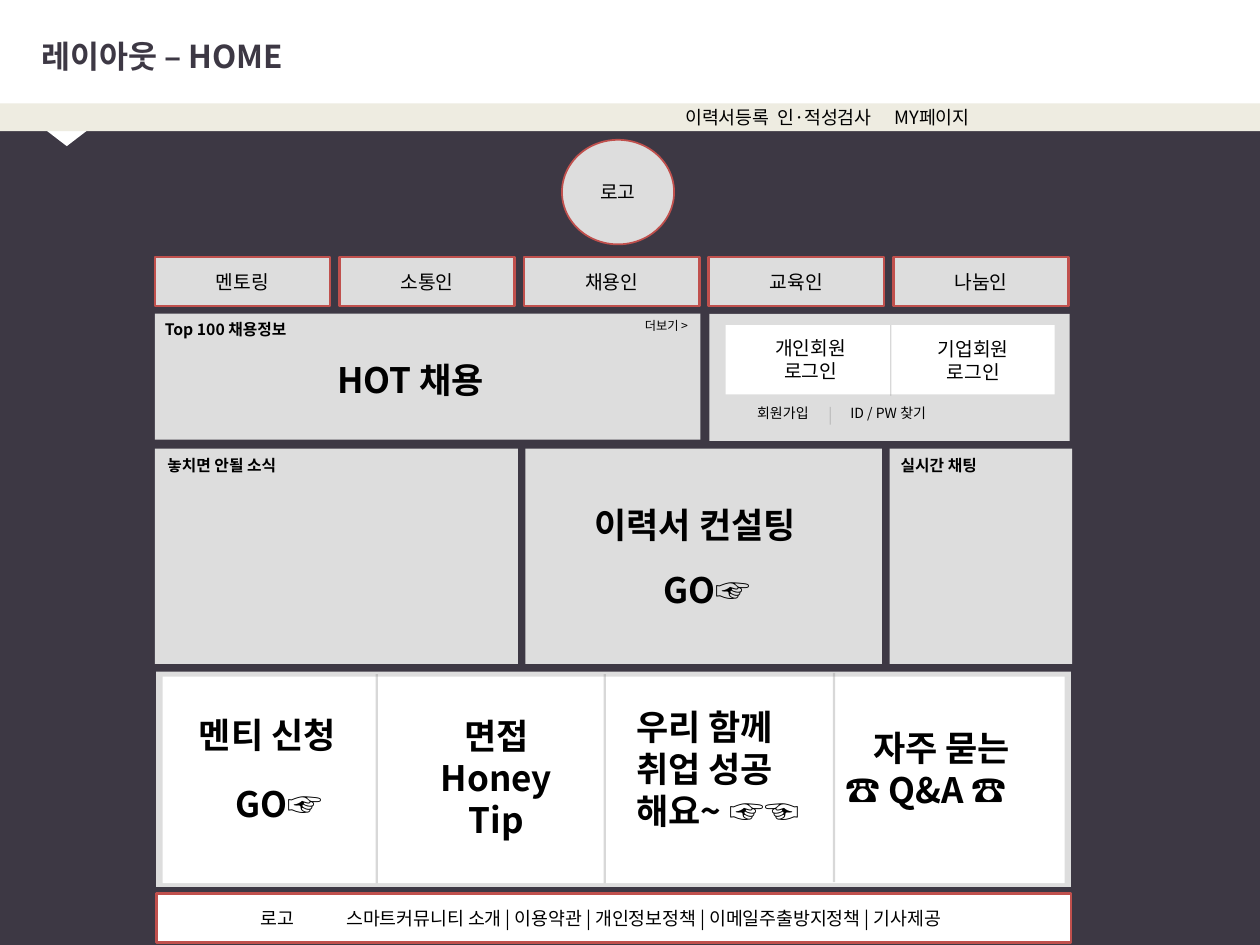
import pptx
import pptx.dml.color
import pptx.enum.shapes
import pptx.enum.text
import pptx.oxml
import pptx.oxml.ns
import pptx.util
from pptx.util import Inches

SHAPE = pptx.enum.shapes.MSO_SHAPE
ALIGN = pptx.enum.text.PP_ALIGN
ANCHOR = pptx.enum.text.MSO_ANCHOR
qn = pptx.oxml.ns.qn

THEME = {
    "font": "Noto Sans CJK KR",
    "dark": "3D3844", "white": "FFFFFF", "beige": "EEECE1",
    "panel": "DDDDDD", "accent": "C0504D", "divider": "808080", "ink": "000000",
    "title": 18, "headline": 20, "menu": 11, "bar": 10.5,
    "heading": 9, "link": 8, "more": 7,
}

MENU = ["멘토링", "소통인", "채용인", "교육인", "나눔인"]
MENU_LEFT, MENU_RIGHT, MENU_TOP, MENU_W, MENU_H = 1.23, 8.48, 2.04, 1.39, 0.39

UTILITY_LINKS = ["이력서등록", "인·적성검사", "MY페이지"]
FOOTER_LINKS = ["스마트커뮤니티 소개", "이용약관", "개인정보정책",
                "이메일주출방지정책", "기사제공"]

# left, top, width, height, fill
PANELS = [
    (1.23, 2.49, 4.33, 1, "panel"),
    (5.63, 2.49, 2.86, 1.01, "panel"),
    (5.76, 2.58, 2.61, 0.55, "white"),
    (1.23, 3.56, 2.88, 1.71, "panel"),
    (4.17, 3.56, 2.83, 1.71, "panel"),
    (7.06, 3.56, 1.45, 1.71, "panel"),
    (1.24, 5.33, 7.26, 1.71, "panel"),
    (1.29, 5.37, 7.16, 1.64, "white"),
]

# x, top, bottom, width in points
DIVIDERS = [
    (7.07, 2.58, 3.14, 0.75),
    (6.59, 3.23, 3.37, 0.75),
    (2.99, 5.35, 7.01, 1.25),
    (4.8, 5.35, 7.01, 1.25),
    (6.62, 5.34, 7, 1.25),
]

# text, left, top, width, height, size, bold, centred
LABELS = [
    ("개인회원 로그인", 5.97, 2.62, 0.93, 0.46, "menu", False, True),
    ("기업회원 로그인", 7.26, 2.63, 0.93, 0.46, "menu", False, True),
    ("회원가입", 5.91, 3.16, 0.65, 0.23, "link", False, False),
    ("ID / PW 찾기", 6.65, 3.16, 1.04, 0.23, "link", False, False),
    ("Top 100 채용정보", 1.21, 2.49, 1.33, 0.25, "heading", True, False),
    ("더보기 >", 5.02, 2.48, 0.64, 0.22, "more", False, False),
    ("실시간 채팅", 7.05, 3.57, 0.98, 0.25, "heading", True, False),
    ("놓치면 안될 소식", 1.23, 3.57, 1.95, 0.25, "heading", True, False),
    ("HOT 채용", 2.58, 2.8, 2.04, 0.44, "headline", True, False),
    ("이력서 컨설팅", 4.62, 3.95, 2.04, 0.44, "headline", True, False),
    ("GO☞", 5.17, 4.46, 0.94, 0.44, "headline", True, False),
    ("멘티 신청", 1.48, 5.61, 1.48, 0.77, "headline", True, False),
    ("GO☞", 1.77, 6.16, 0.94, 0.44, "headline", True, False),
    ("면접 Honey Tip", 3.2, 5.62, 1.48, 1.11, "headline", True, True),
    ("우리 함께 취업 성공 해요~ ☞☜", 4.95, 5.55, 1.72, 1.45, "headline", True, False),
]
FAQ_LINES = [("자주 묻는", 0.24), ("☎ Q&A ☎", 0.02)]  # text, indent


def color(key):
    return pptx.dml.color.RGBColor.from_string(THEME[key])


def style(paragraph, size, ink="ink", bold=False, align=ALIGN.LEFT):
    paragraph.alignment = align
    font = paragraph.font
    font.size = pptx.util.Pt(THEME[size])
    font.bold = bold
    font.color.rgb = color(ink)
    font.name = THEME["font"]
    defaults = paragraph._p.get_or_add_pPr().find(qn("a:defRPr"))
    east_asian = pptx.oxml.parse_xml(
        f'<a:ea {pptx.oxml.ns.nsdecls("a")} typeface="{THEME["font"]}"/>')
    defaults.find(qn("a:latin")).addnext(east_asian)


def add_block(slide, kind, left, top, width, height, fill, border=None):
    """Add a flat shape; border is its line width in points."""
    block = slide.shapes.add_shape(
        kind, Inches(left), Inches(top), Inches(width), Inches(height))
    block.shadow.inherit = False
    block.fill.solid()
    block.fill.fore_color.rgb = color(fill)
    if border:
        block.line.color.rgb = color("accent")
        block.line.width = pptx.util.Pt(border)
    else:
        block.line.fill.background()
    return block


def caption(block, text, size):
    block.text_frame.vertical_anchor = ANCHOR.MIDDLE
    paragraph = block.text_frame.paragraphs[0]
    paragraph.text = text
    style(paragraph, size, align=ALIGN.CENTER)


def tabbed_caption(block, items, starts):
    """Set items on one line, each starting at its slide position in inches."""
    frame = block.text_frame
    frame.vertical_anchor = ANCHOR.MIDDLE
    frame.margin_left = Inches(starts[0]) - block.left
    frame.margin_right = 0
    paragraph = frame.paragraphs[0]
    paragraph.text = "\t".join(items)
    tabs = "".join(f'<a:tab pos="{Inches(start - starts[0])}" algn="l"/>'
                   for start in starts[1:])
    paragraph._p.get_or_add_pPr().append(pptx.oxml.parse_xml(
        f'<a:tabLst {pptx.oxml.ns.nsdecls("a")}>{tabs}</a:tabLst>'))
    style(paragraph, "bar")


def add_label(slide, left, top, width, height):
    frame = slide.shapes.add_textbox(
        Inches(left), Inches(top), Inches(width), Inches(height)).text_frame
    frame.word_wrap = True
    return frame


def add_divider(slide, x, top, bottom, width):
    divider = slide.shapes.add_connector(
        pptx.enum.shapes.MSO_CONNECTOR.STRAIGHT,
        Inches(x), Inches(top), Inches(x), Inches(bottom))
    divider.line.color.rgb = color("divider")
    divider.line.width = pptx.util.Pt(width)
    properties = divider._element.spPr
    tint = next(properties.iter(qn("a:srgbClr")))
    tint.append(pptx.oxml.parse_xml(
        f'<a:alpha {pptx.oxml.ns.nsdecls("a")} val="29000"/>'))
    properties.append(pptx.oxml.parse_xml(
        f'<a:effectLst {pptx.oxml.ns.nsdecls("a")}/>'))


def add_header(slide):
    add_block(slide, SHAPE.RECTANGLE, 0, 0, 10, 0.88, "white")
    pointer = add_block(slide, SHAPE.ISOSCELES_TRIANGLE, -0.2, 0.6, 1.46, 0.56, "white")
    pointer.rotation = 180
    title = add_label(slide, 0.23, 0.13, 9.66, 0.62)
    title.vertical_anchor = ANCHOR.MIDDLE
    title.text = "레이아웃 – HOME"
    style(title.paragraphs[0], "title", "dark", bold=True)
    utility_bar = add_block(slide, SHAPE.RECTANGLE, 0, 0.82, 10, 0.22, "beige")
    tabbed_caption(utility_bar, UTILITY_LINKS, [5.44, 6.17, 7.1])


def add_menu(slide):
    logo = add_block(slide, SHAPE.OVAL, 4.46, 1.11, 0.89, 0.83, "panel", 1)
    caption(logo, "로고", "menu")
    pitch = (MENU_RIGHT - MENU_LEFT - MENU_W) / (len(MENU) - 1)
    for index, name in enumerate(MENU):
        button = add_block(slide, SHAPE.RECTANGLE, MENU_LEFT + index * pitch,
                           MENU_TOP, MENU_W, MENU_H, "panel", 1.5)
        caption(button, name, "menu")


def add_content(slide):
    for *place, fill in PANELS:
        add_block(slide, SHAPE.RECTANGLE, *place, fill)
    for divider in DIVIDERS:
        add_divider(slide, *divider)
    for text, *place, size, bold, centred in LABELS:
        label = add_label(slide, *place)
        label.text = text
        style(label.paragraphs[0], size, bold=bold,
              align=ALIGN.CENTER if centred else ALIGN.LEFT)
    faq = add_label(slide, 6.59, 5.72, 1.89, 0.77)
    faq.text = "\n".join(text for text, _ in FAQ_LINES)
    for paragraph, (_, indent) in zip(faq.paragraphs, FAQ_LINES):
        paragraph._p.get_or_add_pPr().set("marL", str(Inches(indent)))
        style(paragraph, "headline", bold=True)


def add_footer(slide):
    footer = add_block(slide, SHAPE.RECTANGLE, 1.24, 7.09, 7.26, 0.39, "white", 1.5)
    tabbed_caption(footer, ["로고", " | ".join(FOOTER_LINKS)], [2.07, 2.75])


def main():
    deck = pptx.Presentation()
    deck.slide_width, deck.slide_height = Inches(10), Inches(7.5)
    slide = deck.slides.add_slide(deck.slide_layouts[6])
    slide.background.fill.solid()
    slide.background.fill.fore_color.rgb = color("dark")
    add_header(slide)
    add_menu(slide)
    add_content(slide)
    add_footer(slide)
    deck.save("out.pptx")


if __name__ == "__main__":
    main()
